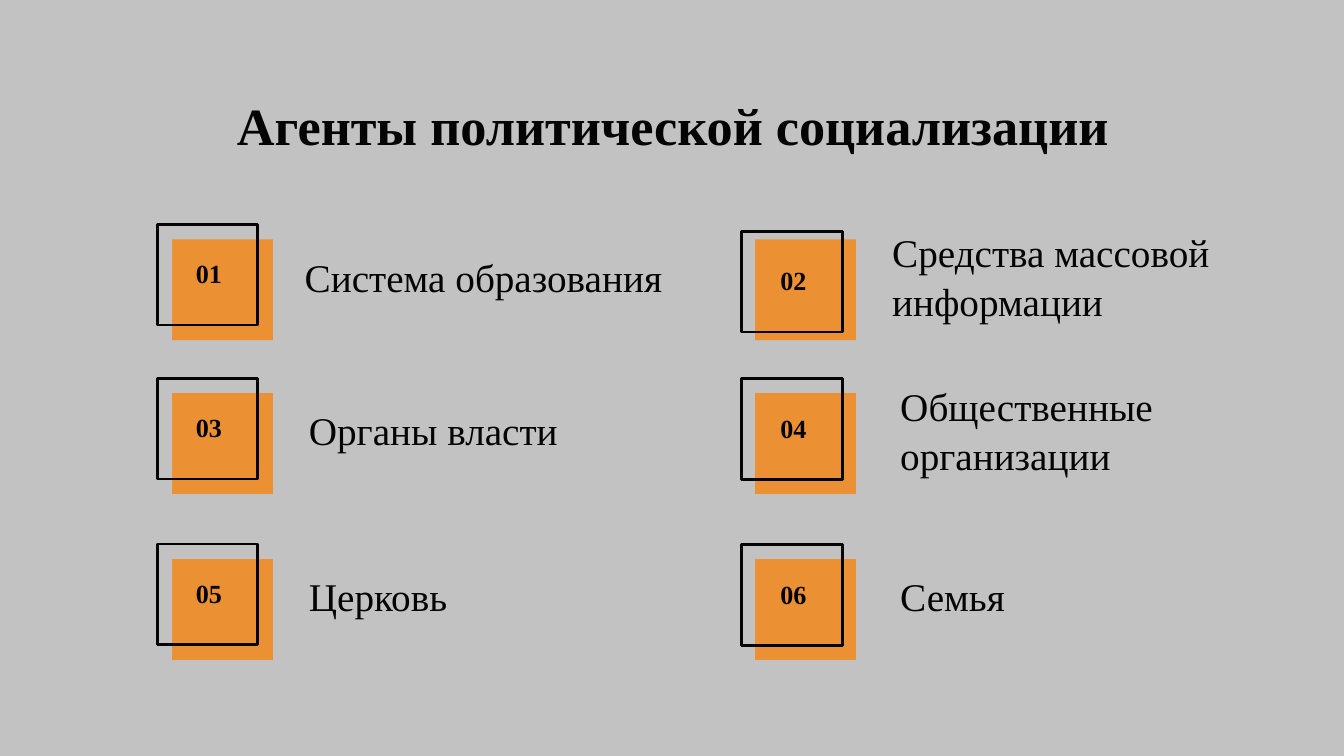
from dataclasses import dataclass

from pptx import Presentation
from pptx.dml.color import RGBColor
from pptx.enum.shapes import MSO_SHAPE
from pptx.enum.text import MSO_ANCHOR, MSO_AUTO_SIZE, PP_ALIGN
from pptx.util import Pt


@dataclass(frozen=True)
class Theme:
    background: RGBColor = RGBColor(0xC2, 0xC2, 0xC2)
    accent: RGBColor = RGBColor(0xEB, 0x91, 0x34)
    ink: RGBColor = RGBColor(0x04, 0x04, 0x04)
    font: str = "Times New Roman"
    title: int = 28
    label: int = 21
    number: int = 14
    line: float = 1.5


THEME = Theme()
TITLE = "Агенты политической социализации"
AGENTS = [
    "Система образования", "Средства массовой информации",
    "Органы власти", "Общественные организации",
    "Церковь", "Семья",
]
COLUMNS = (92.2, 404.6)
ROWS = (128.2, 210.6, 299.5)
SQUARE = 54
LABEL_SIZE = (223.2, 41.8)
# Offsets from the filled square, where an agent departs from its column
FRAME_SHIFTS = {0: (-8, -8), 1: (-7.2, -4.3)}
COLUMN_SHIFTS = ((-8, -8), (-7.2, -7.6))
LABEL_SHIFTS = {0: 64, 1: 66.3}
COLUMN_LABEL_SHIFTS = (66.2, 70.6)


def place(s, box):
    for name, value in zip(("left", "top", "width", "height"), box):
        setattr(s, name, Pt(value))


def write(s, text, size, bold=False, align=PP_ALIGN.LEFT, spacing=1.0):
    tf = s.text_frame
    frame_format = {
        "word_wrap": True, "auto_size": MSO_AUTO_SIZE.NONE,
        "vertical_anchor": MSO_ANCHOR.MIDDLE,
        "margin_left": Pt(7.2), "margin_right": Pt(7.2),
        "margin_top": Pt(7.2), "margin_bottom": Pt(7.2),
    }
    for name, value in frame_format.items():
        setattr(tf, name, value)
    p = tf.paragraphs[0]
    p.alignment, p.line_spacing = align, spacing
    r = p.add_run()
    r.text = text
    for name, value in {"name": THEME.font, "size": Pt(size), "bold": bold}.items():
        setattr(r.font, name, value)
    r.font.color.rgb = THEME.ink


def add_text(slide, box, text, size, **options):
    s = slide.shapes.add_textbox(*map(Pt, box))
    write(s, text, size, **options)


def add_square(slide, x, y, fill=None):
    """Add a filled square, or an outlined one when no fill is given."""
    s = slide.shapes.add_shape(MSO_SHAPE.RECTANGLE, *map(Pt, (x, y, SQUARE, SQUARE)))
    s.shadow.inherit = False
    if fill is None:
        s.fill.background()
        s.line.color.rgb = THEME.ink
        s.line.width = Pt(THEME.line)
    else:
        s.fill.solid()
        s.fill.fore_color.rgb = fill
        s.line.fill.background()


def add_title(slide, box):
    s = slide.shapes.title
    place(s, box)
    write(s, TITLE, THEME.title, bold=True, align=PP_ALIGN.CENTER)


def add_agent(slide, x, y, number, text, frame_shift, label_shift):
    frame_x, frame_y = x + frame_shift[0], y + frame_shift[1]
    add_square(slide, x, y, THEME.accent)
    add_square(slide, frame_x, frame_y)
    add_text(slide, (frame_x + 5.4, frame_y + 13, 44.6, 26.6), f"{number:02}",
             THEME.number, bold=True, align=PP_ALIGN.CENTER)
    add_text(slide, (x + label_shift, y - 1.5, *LABEL_SIZE), text,
             THEME.label, spacing=1.04)


def add_agents(slide):
    for i, text in enumerate(AGENTS):
        row, column = divmod(i, len(COLUMNS))
        add_agent(slide, COLUMNS[column], ROWS[row], i + 1, text,
                  FRAME_SHIFTS.get(i, COLUMN_SHIFTS[column]),
                  LABEL_SHIFTS.get(i, COLUMN_LABEL_SHIFTS[column]))


def main():
    prs = Presentation()
    prs.slide_width, prs.slide_height = Pt(720), Pt(405)
    slide = prs.slides.add_slide(prs.slide_layouts[5])
    slide.background.fill.solid()
    slide.background.fill.fore_color.rgb = THEME.background
    add_title(slide, (56.9, 43.9, 607, 45.4))
    add_agents(slide)
    prs.save("out.pptx")


if __name__ == "__main__":
    main()
